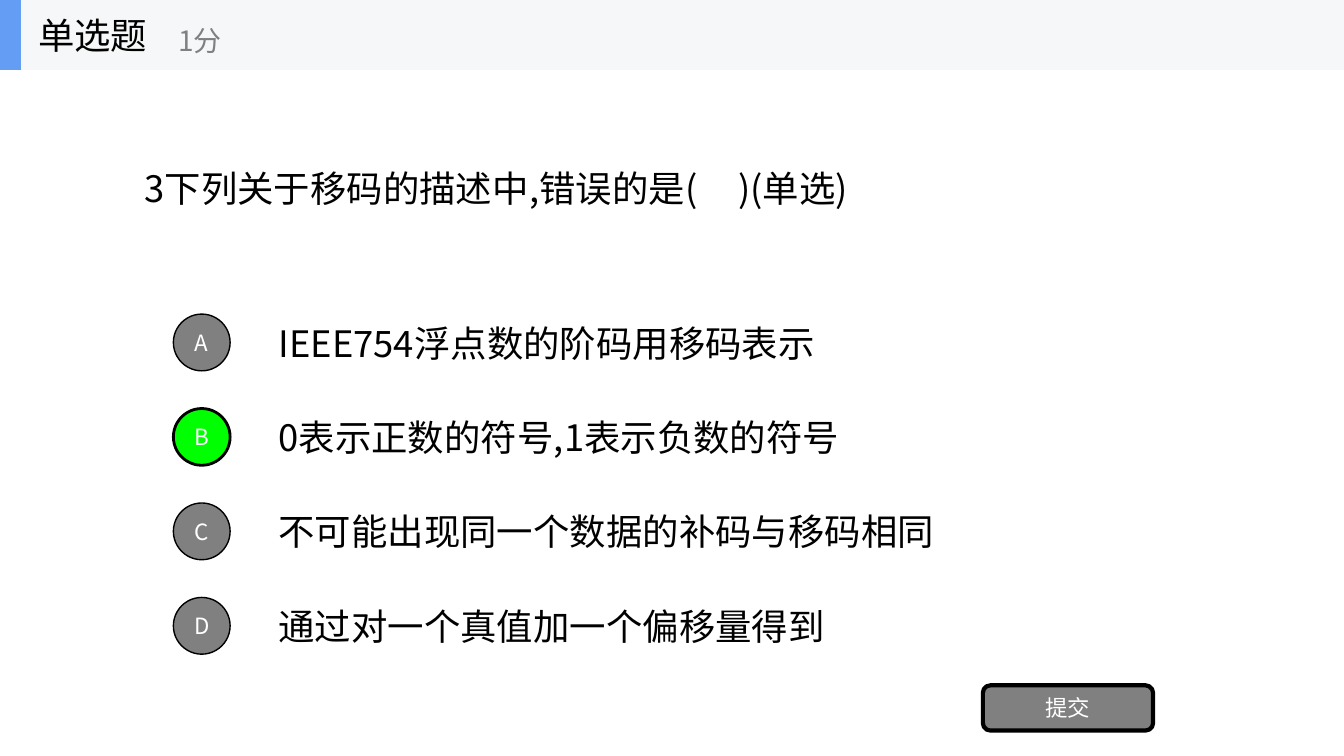
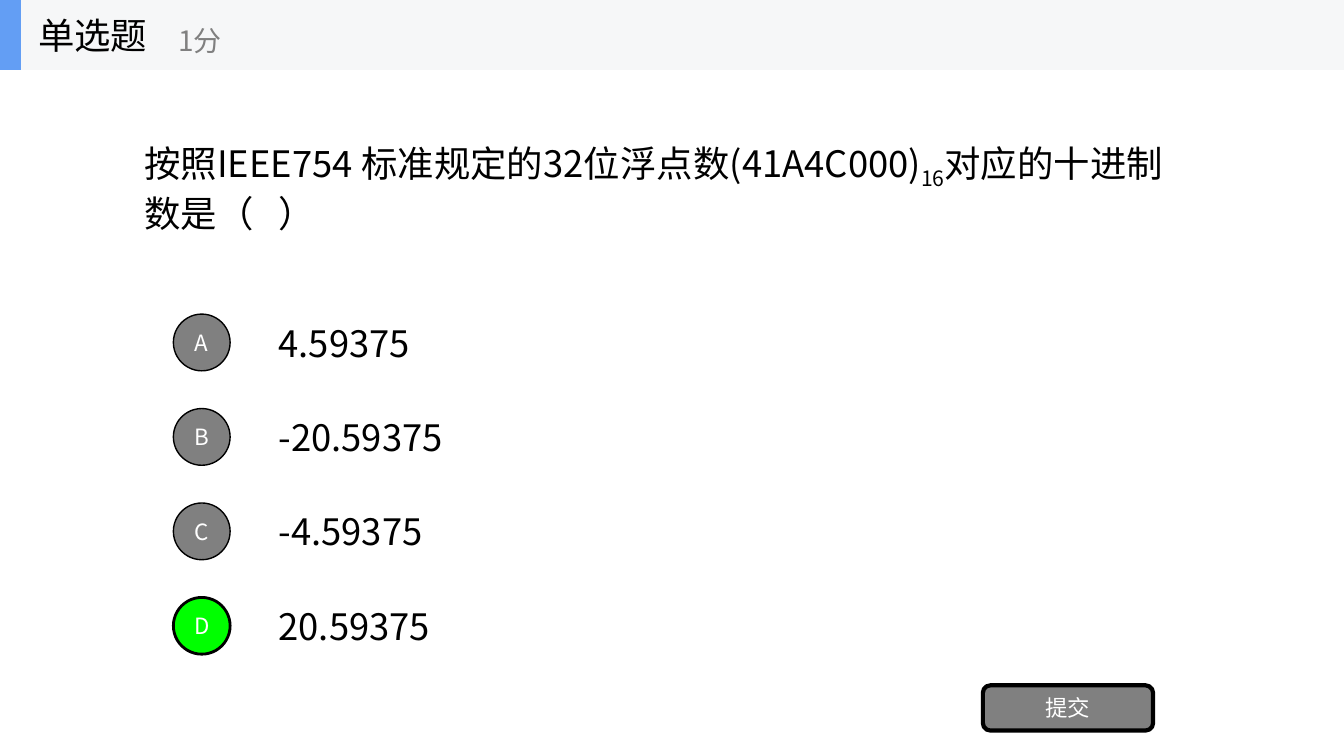
from dataclasses import dataclass

import lxml.etree
import pptx
import pptx.dml.color
import pptx.enum.shapes
import pptx.enum.text
import pptx.oxml.ns
import pptx.shapes.autoshape
import pptx.slide
import pptx.util

Cm = pptx.util.Cm
Pt = pptx.util.Pt
RGBColor = pptx.dml.color.RGBColor
Shape = pptx.shapes.autoshape.Shape
ShapeKind = pptx.enum.shapes.MSO_SHAPE
Align = pptx.enum.text.PP_ALIGN
AutoSize = pptx.enum.text.MSO_AUTO_SIZE

# Colours and type
BLACK = RGBColor(0x00, 0x00, 0x00)
WHITE = RGBColor(0xFF, 0xFF, 0xFF)
GREY = RGBColor(0x80, 0x80, 0x80)
GREEN = RGBColor(0x00, 0xFF, 0x00)
BAND = RGBColor(0xF6, 0xF7, 0xF8)
ACCENT = RGBColor(0x63, 0x9E, 0xF4)
FONT = "Noto Sans CJK SC"
BODY_SIZE, SCORE_SIZE, LABEL_SIZE = 26, 20, 16

# Layout in centimetres
PAGE_WIDTH, PAGE_HEIGHT = 33.87, 19.05
BAND_HEIGHT = 1.76
QUESTION_LEFT, QUESTION_CENTRE = 3.39, 4.73
BADGE_LEFT, BADGE_SIZE = 4.37, 1.43
OPTION_LEFT, OPTION_CENTRE, OPTION_PITCH = 6.77, 8.63, 2.38


@dataclass(frozen=True)
class Area:
    left: float
    top: float
    width: float
    height: float

    def lengths(self) -> tuple:
        return Cm(self.left), Cm(self.top), Cm(self.width), Cm(self.height)


@dataclass(frozen=True)
class Piece:
    text: str
    baseline: int = 0


@dataclass(frozen=True)
class Option:
    text: str
    width: float = 23.7


@dataclass(frozen=True)
class Quiz:
    question: tuple[Piece, ...]
    question_width: float
    question_height: float
    options: tuple[Option, ...]
    option_height: float
    answer: str
    grows: bool


QUIZZES = (
    Quiz(
        question=(Piece("3下列关于移码的描述中,错误的是(     )(单选)"),),
        question_width=18.8,
        question_height=1.34,
        options=(
            Option("IEEE754浮点数的阶码用移码表示", 14.25),
            Option("0表示正数的符号,1表示负数的符号", 14.91),
            Option("不可能出现同一个数据的补码与移码相同", 17.3),
            Option("通过对一个真值加一个偏移量得到", 14.53),
        ),
        option_height=1.34,
        answer="B",
        grows=True,
    ),
    Quiz(
        question=(
            Piece("按照IEEE754 标准规定的32位浮点数(41A4C000)"),
            Piece("16", -25000),
            Piece("对应的十进制数是（   ）"),
        ),
        question_width=27.09,
        question_height=5.94,
        options=(
            Option("4.59375"),
            Option("-20.59375"),
            Option("-4.59375"),
            Option("20.59375"),
        ),
        option_height=1.79,
        answer="D",
        grows=False,
    ),
)


def write(box: Shape, pieces: tuple[Piece, ...], size: int, colour: RGBColor,
          align: Align = Align.LEFT) -> None:
    """Fill a box with one vertically centred paragraph."""
    box.text_frame.vertical_anchor = pptx.enum.text.MSO_ANCHOR.MIDDLE
    para = box.text_frame.paragraphs[0]
    para.alignment = align
    for piece in pieces:
        span = para.add_run()
        span.text = piece.text
        if piece.baseline:
            span._r.get_or_add_rPr().set("baseline", str(piece.baseline))
    para.font.size = Pt(size)
    para.font.color.rgb = colour
    para.font.name = FONT
    # East Asian typeface, next to the Latin one
    qn = pptx.oxml.ns.qn
    defaults = para._p.pPr.find(qn("a:defRPr"))
    lxml.etree.SubElement(defaults, qn("a:ea"), typeface=FONT)


def add_text(shapes, area: Area, pieces: tuple[Piece, ...],
             size: int = BODY_SIZE, colour: RGBColor = BLACK,
             wrap: bool = True, grows: bool = False) -> None:
    box = shapes.add_textbox(*area.lengths())
    box.text_frame.word_wrap = wrap
    if grows:
        box.text_frame.auto_size = AutoSize.SHAPE_TO_FIT_TEXT
    write(box, pieces, size, colour)


def add_block(shapes, kind: ShapeKind, area: Area, fill: RGBColor,
              line_width: int = 0, label: str = "") -> None:
    block = shapes.add_shape(kind, *area.lengths())
    block.shadow.inherit = False
    block.fill.solid()
    block.fill.fore_color.rgb = fill
    if line_width:
        block.line.color.rgb = BLACK
        block.line.width = Pt(line_width)
    else:
        block.line.fill.background()
    if label:
        write(block, (Piece(label),), LABEL_SIZE, WHITE, Align.CENTER)


def add_header(page: pptx.slide.Slide) -> None:
    header = page.shapes.add_group_shape().shapes
    for width, colour in ((PAGE_WIDTH, BAND), (0.53, ACCENT)):
        add_block(header, ShapeKind.RECTANGLE,
                  Area(0, 0, width, BAND_HEIGHT), colour)
    add_text(header, Area(0.71, 0, 5.28, BAND_HEIGHT), (Piece("单选题"),),
             wrap=False)
    add_text(header, Area(4.24, 0.3, 6.35, 1.42), (Piece("1分"),),
             SCORE_SIZE, GREY, wrap=False)


def add_quiz(page: pptx.slide.Slide, quiz: Quiz) -> None:
    # Question
    question_top = QUESTION_CENTRE - quiz.question_height / 2
    add_text(page.shapes,
             Area(QUESTION_LEFT, question_top, quiz.question_width,
                  quiz.question_height),
             quiz.question, grows=quiz.grows)

    # Options with lettered badges
    for row, (letter, option) in enumerate(zip("ABCD", quiz.options)):
        centre = OPTION_CENTRE + row * OPTION_PITCH
        add_text(page.shapes,
                 Area(OPTION_LEFT, centre - quiz.option_height / 2,
                      option.width, quiz.option_height),
                 (Piece(option.text),), grows=quiz.grows)
        correct = letter == quiz.answer
        add_block(page.shapes, ShapeKind.OVAL,
                  Area(BADGE_LEFT, centre - BADGE_SIZE / 2,
                       BADGE_SIZE, BADGE_SIZE),
                  GREEN if correct else GREY, 2 if correct else 1, letter)

    # Submit button and header
    add_block(page.shapes, ShapeKind.ROUNDED_RECTANGLE,
              Area(24.77, 17.27, 4.29, 1.14), GREY, 3, "提交")
    add_header(page)


def main() -> None:
    deck = pptx.Presentation()
    deck.slide_width, deck.slide_height = Cm(PAGE_WIDTH), Cm(PAGE_HEIGHT)
    blank = deck.slide_layouts[6]
    for quiz in QUIZZES:
        add_quiz(deck.slides.add_slide(blank), quiz)
    deck.save("out.pptx")


if __name__ == "__main__":
    main()
